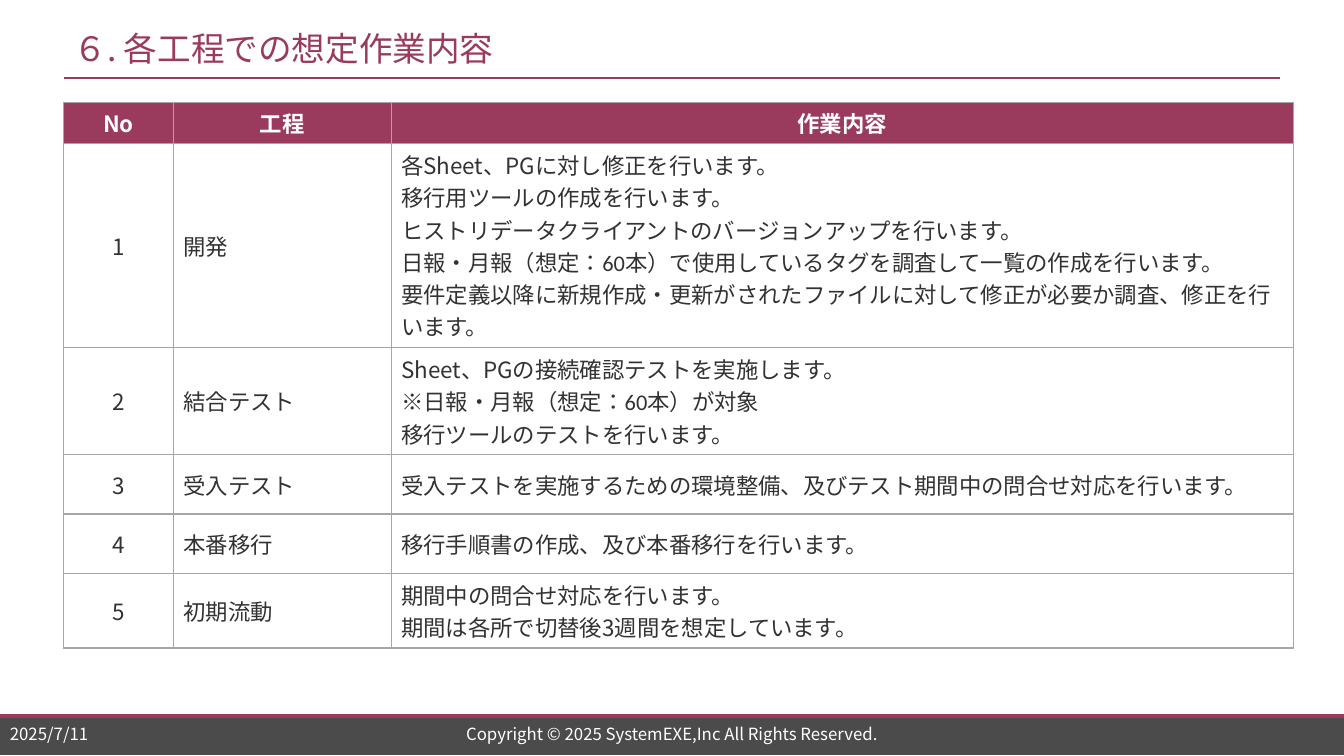
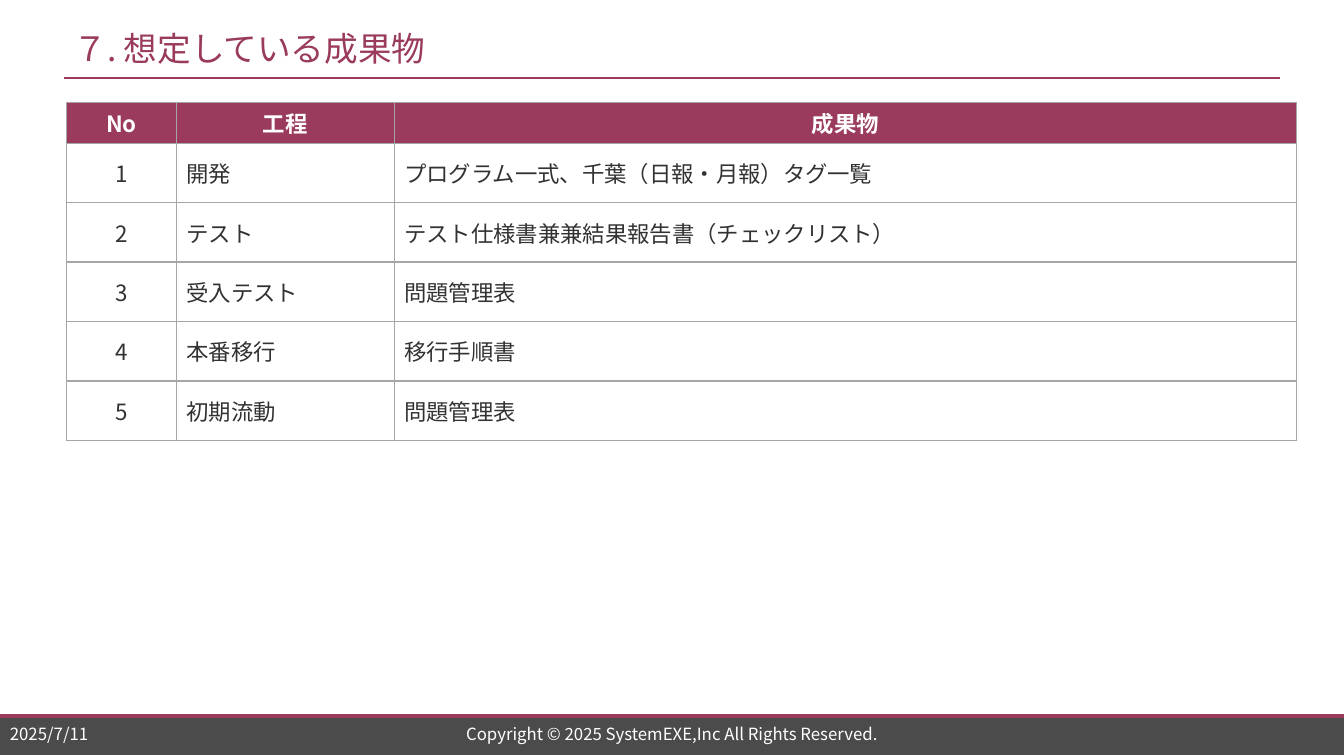
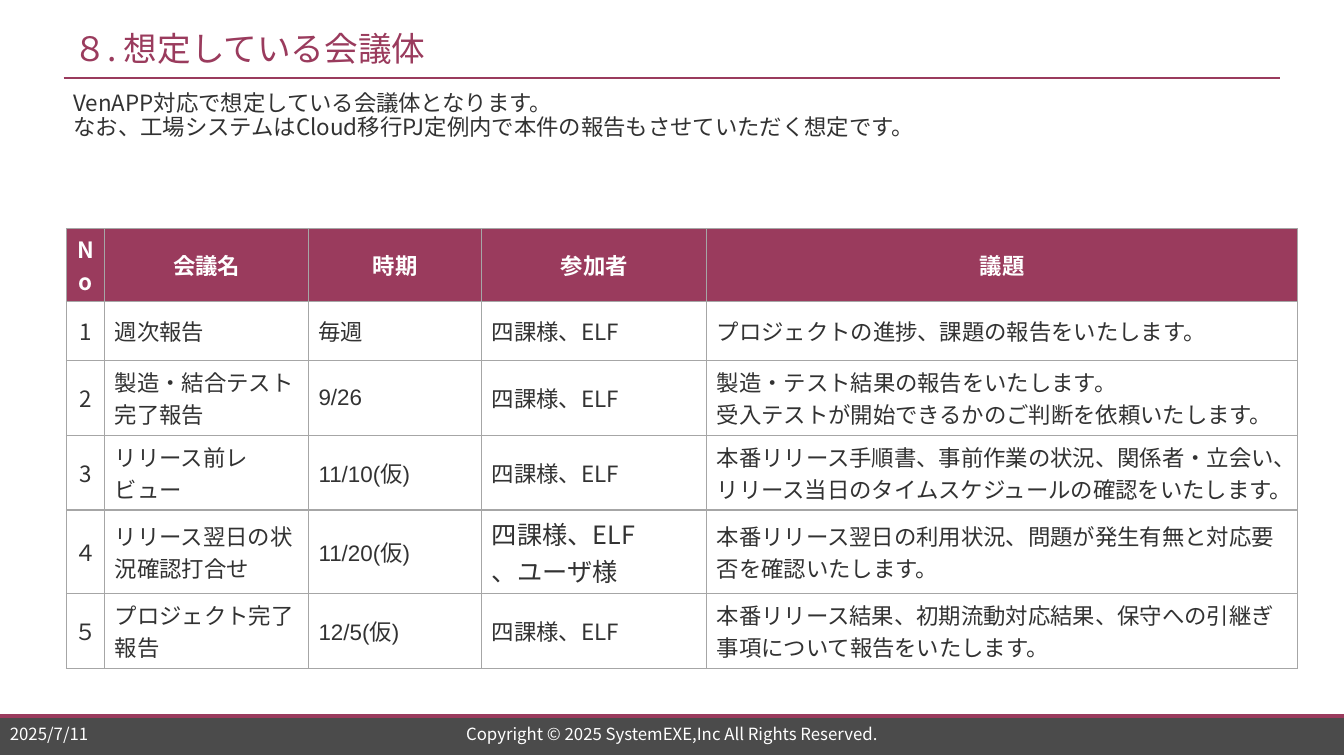
from pptx import Presentation
from pptx.dml.color import RGBColor
from pptx.enum.lang import MSO_LANGUAGE_ID as Lang
from pptx.enum.shapes import MSO_CONNECTOR as Conn, MSO_SHAPE as Shape
from pptx.enum.text import MSO_ANCHOR as Anchor, PP_ALIGN as Align
from pptx.oxml.ns import qn
from pptx.util import Inches, Pt
from lxml.etree import SubElement

# Shared look
W, H = 13.33, 7.5
COLORS = {"accent": "9A3B5D", "band": "4B4B4B", "text": "323232",
          "white": "FFFFFF", "border": "A6A6A6"}
FONT, CALIBRI, ARIAL = "Noto Sans CJK JP", "Calibri", "Arial"
MARGIN, TITLE_W, RULE_Y, BAND_Y = 0.63, 12.07, 0.77, 7.1
HEAD_H, ROW_H, TWO_LINES_H = 0.4, 0.59, 0.74
CELL_PAD, SIDE_PAD = 0.04, 0.1
DATE = "2025/7/11"
COPYRIGHT = "Copyright © 2025 SystemEXE,Inc All Rights Reserved."
MEMBERS = "四課様、ELF"
PHASE_COLS = [1.09, 2.16, 8.95]

# Content: a cell is a string or a list of paragraphs;
# a paragraph is a string or a list of (text, font, size) runs
SLIDES = [
    {"title": "６. 各工程での想定作業内容",
     "at": (0.63, 1.02), "cols": PHASE_COLS, "right_pad": 0,
     "heights": [HEAD_H, 2.03, 1.06, ROW_H, ROW_H, TWO_LINES_H],
     "head": ["No", "工程", "作業内容"],
     "rows": [
         ["1", "開発", [
             "各Sheet、PGに対し修正を行います。",
             "移行用ツールの作成を行います。",
             [("ヒストリデータクライアントのバージョンアップを行います。", CALIBRI, 16)],
             [("日報・月報（想定：60本）で使用しているタグを調査して一覧の作成を行います。",
               CALIBRI, 16)],
             [("要件定義以降に新規作成・更新がされたファイルに対して修正が必要か調査、"
               "修正を行います。", CALIBRI, 16)]]],
         ["2", "結合テスト", [
             "Sheet、PGの接続確認テストを実施します。",
             [("※", FONT, 16), ("日報・月報（想定：60本）が対象", CALIBRI, 16)],
             "移行ツールのテストを行います。"]],
         ["3", "受入テスト", [
             [("受入テストを実施するための環境整備、及びテスト期間中の問合せ対応を行います。",
               CALIBRI, 16)]]],
         ["4", "本番移行", "移行手順書の作成、及び本番移行を行います。"],
         ["5", "初期流動", ["期間中の問合せ対応を行います。",
                        "期間は各所で切替後3週間を想定しています。"]]]},
    {"title": "７. 想定している成果物",
     "at": (0.66, 1.02), "cols": PHASE_COLS,
     "heights": [HEAD_H] + [ROW_H] * 5,
     "head": ["No", "工程", "成果物"],
     "rows": [
         ["1", "開発", "プログラム一式、千葉（日報・月報）タグ一覧"],
         ["2", "テスト", "テスト仕様書兼兼結果報告書（チェックリスト）"],
         ["3", "受入テスト", "問題管理表"],
         ["4", "本番移行", "移行手順書"],
         ["5", "初期流動", "問題管理表"]]},
    {"title": "８. 想定している会議体",
     "lead": ["VenAPP対応で想定している会議体となります。",
              "なお、工場システムはCloud移行PJ定例内で本件の報告もさせていただく想定です。"],
     "at": (0.66, 2.27), "cols": [0.38, 2.02, 1.72, 2.23, 5.86],
     "heights": [0.72, ROW_H, TWO_LINES_H, TWO_LINES_H, 0.83, TWO_LINES_H],
     "head": ["No", "会議名", "時期", "参加者", "議題"],
     "rows": [
         ["1", "週次報告", "毎週", MEMBERS,
          "プロジェクトの進捗、課題の報告をいたします。"],
         ["2", "製造・結合テスト完了報告", [[("9/26", ARIAL, 16)]], MEMBERS,
          ["製造・テスト結果の報告をいたします。",
           "受入テストが開始できるかのご判断を依頼いたします。"]],
         ["3", "リリース前レビュー", [[("11/10(仮)", ARIAL, 16)]], MEMBERS,
          "本番リリース手順書、事前作業の状況、関係者・立会い、"
          "リリース当日のタイムスケジュールの確認をいたします。"],
         ["４", "リリース翌日の状況確認打合せ", [[("11/20(仮)", ARIAL, 16)]],
          [[(MEMBERS, FONT, 18)], [("、ユーザ様", CALIBRI, 18)]],
          "本番リリース翌日の利用状況、問題が発生有無と対応要否を確認いたします。"],
         ["５", "プロジェクト完了報告", [[("12/5(仮)", ARIAL, 16)]], MEMBERS,
          "本番リリース結果、初期流動対応結果、保守への引継ぎ事項について報告をいたします。"]]},
]


def rgb(name):
    return RGBColor.from_string(COLORS[name])


def write(tf, content, size=16, color="text", bold=False, align=Align.LEFT, spacing=None):
    paragraphs = [content] if isinstance(content, str) else content
    for i, runs in enumerate(paragraphs):
        p = tf.add_paragraph() if i else tf.paragraphs[0]
        p.alignment = align
        if spacing:
            p.line_spacing = spacing
        for text, font, points in [(runs, FONT, size)] if isinstance(runs, str) else runs:
            r = p.add_run()
            r.text = text
            f = r.font
            f.size, f.bold, f.name = Pt(points), bold, font
            f.color.rgb = rgb(color)
            f.language_id = Lang.JAPANESE
            # Japanese characters always use the main font
            SubElement(r._r.rPr, qn("a:ea"), typeface=FONT)


def add_text(s, content, x, y, w, h, anchor=Anchor.MIDDLE, wrap=True, **fmt):
    tf = s.shapes.add_textbox(*map(Inches, (x, y, w, h))).text_frame
    tf.word_wrap, tf.vertical_anchor = wrap, anchor
    write(tf, content, **fmt)


def add_rule(s, x, y, w, points):
    line = s.shapes.add_connector(Conn.STRAIGHT, *map(Inches, (x, y, x + w, y)))
    line.line.color.rgb, line.line.width = rgb("accent"), Pt(points)
    SubElement(line._element.spPr, qn("a:effectLst"))


def add_frame(s, title):
    # Footer band, rules, title and footer text
    band = s.shapes.add_shape(Shape.RECTANGLE, *map(Inches, (0, BAND_Y, W, 0.39)))
    band.shadow.inherit = False
    band.fill.solid()
    band.fill.fore_color.rgb = rgb("band")
    band.line.fill.background()
    add_rule(s, 0, BAND_Y, W, 2.75)
    add_rule(s, MARGIN, RULE_Y, TITLE_W, 1.5)
    add_text(s, title, MARGIN, 0.2, TITLE_W, 0.55, wrap=False, size=24, color="accent")
    add_text(s, DATE, 0, 7.16, 1.57, 0.24, size=12, color="white")
    add_text(s, COPYRIGHT, 3.32, 7.16, 6.69, 0.24, size=12, color="white",
             align=Align.CENTER)


def style_cell(cell, fill, tight, right_pad):
    if tight:
        cell.margin_left = cell.margin_right = Inches(CELL_PAD)
        cell.margin_top = cell.margin_bottom = Inches(CELL_PAD)
    else:
        cell.margin_right = Inches(right_pad)
    cell.vertical_anchor = Anchor.MIDDLE
    # Borders come before the fill in the cell properties
    tcPr = cell._tc.get_or_add_tcPr()
    for side in ("lnL", "lnR", "lnT", "lnB"):
        ln = SubElement(tcPr, qn("a:" + side), w=str(Pt(1)))
        solid = SubElement(ln, qn("a:solidFill"))
        SubElement(solid, qn("a:srgbClr"), val=COLORS["border"])
    cell.fill.solid()
    cell.fill.fore_color.rgb = rgb(fill)


def add_grid(s, at, cols, heights, head, rows, right_pad=SIDE_PAD):
    size = (*at, sum(cols), sum(heights))
    table = s.shapes.add_table(len(heights), len(cols), *map(Inches, size)).table
    table.first_row = table.horz_banding = False
    for col, width in zip(table.columns, cols):
        col.width = Inches(width)
    for i, (row, height, values) in enumerate(zip(table.rows, heights, [head] + rows)):
        row.height = Inches(height)
        is_head = i == 0
        for j, (cell, value) in enumerate(zip(row.cells, values)):
            centred = is_head or j == 0
            style_cell(cell, "accent" if is_head else "white", centred, right_pad)
            write(cell.text_frame, value, bold=is_head,
                  color="white" if is_head else "text",
                  align=Align.CENTER if centred else Align.LEFT)


def main():
    prs = Presentation()
    prs.slide_width, prs.slide_height = Inches(W), Inches(H)
    for data in SLIDES:
        s = prs.slides.add_slide(prs.slide_layouts[6])
        add_frame(s, data["title"])
        add_grid(s, data["at"], data["cols"], data["heights"], data["head"],
                 data["rows"], data.get("right_pad", SIDE_PAD))
        if "lead" in data:
            add_text(s, data["lead"], MARGIN, 0.86, 11.99, 0.64,
                     anchor=Anchor.TOP, spacing=0.91)
    prs.save("out.pptx")


if __name__ == "__main__":
    main()
